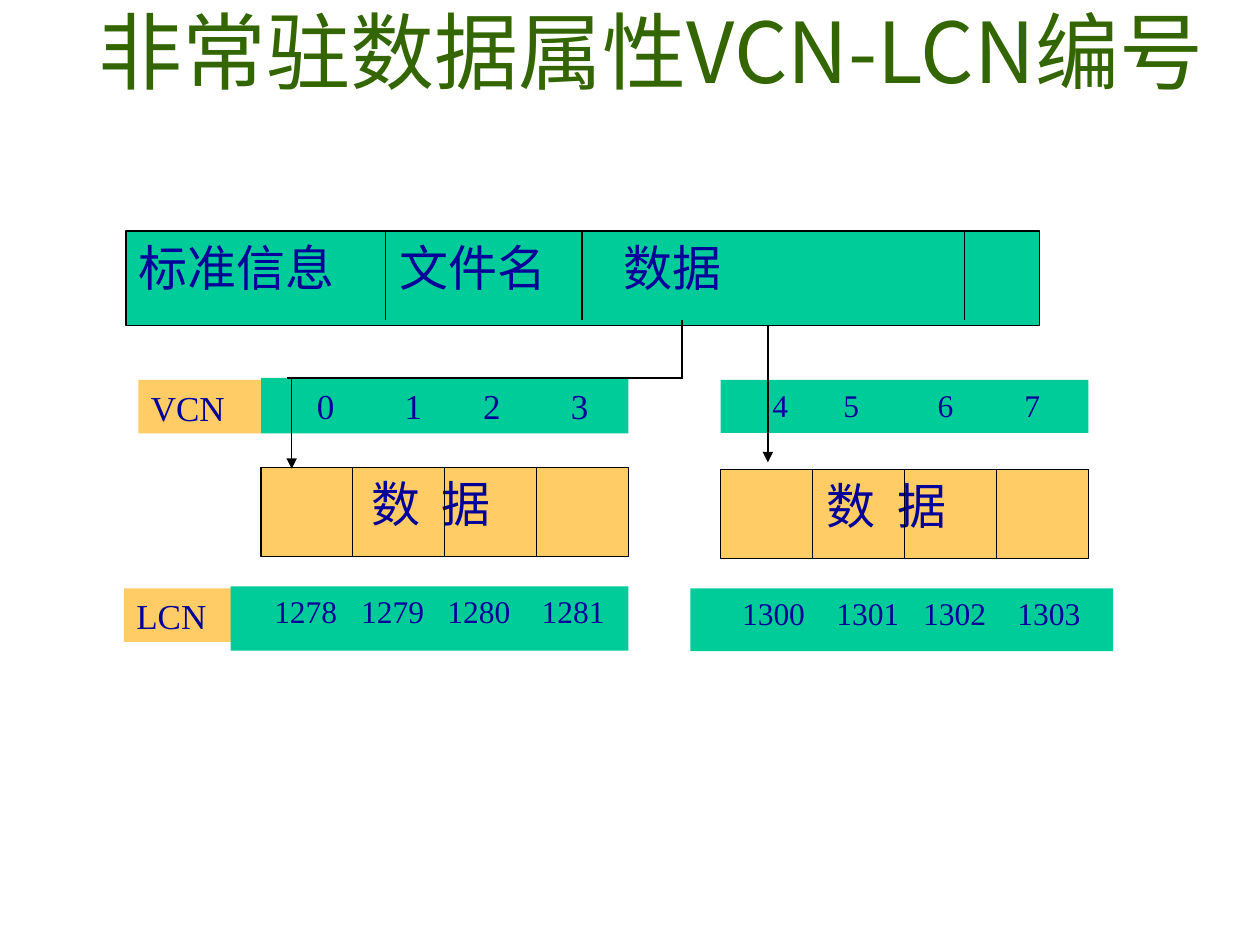
from lxml.etree import SubElement
from pptx import Presentation
from pptx.dml.color import RGBColor
from pptx.enum.shapes import MSO_CONNECTOR, MSO_SHAPE
from pptx.enum.text import MSO_ANCHOR, PP_ALIGN
from pptx.oxml.ns import qn
from pptx.util import Cm, Pt

BLACK = RGBColor(0x00, 0x00, 0x00)
NAVY = RGBColor(0x00, 0x00, 0x99)
OLIVE = RGBColor(0x33, 0x66, 0x00)
GREEN = RGBColor(0x00, 0xCC, 0x99)
ORANGE = RGBColor(0xFF, 0xCC, 0x66)
LATIN = "Times New Roman"
CHINESE = "Noto Sans CJK JP"
LINE_WIDTH = Pt(0.74)


def add_run(paragraph, text, size, font, color):
    run = paragraph.add_run()
    run.text = text
    run.font.size = Pt(size)
    run.font.name = font
    run.font.color.rgb = color
    SubElement(run.font._element, qn("a:ea"), typeface=font)


def set_tab_stops(paragraph, stops):
    tab_list = SubElement(paragraph._p.get_or_add_pPr(), qn("a:tabLst"))
    for stop in stops:
        SubElement(tab_list, qn("a:tab"), pos=str(Cm(stop)), algn="l")


def add_line(slide, x1, y1, x2, y2, arrow=False):
    connector = slide.shapes.add_connector(
        MSO_CONNECTOR.STRAIGHT, Cm(x1), Cm(y1), Cm(x2), Cm(y2))
    connector.line.color.rgb = BLACK
    connector.line.width = LINE_WIDTH
    if arrow:
        SubElement(connector.line._get_or_add_ln(), qn("a:tailEnd"), type="triangle")
    SubElement(connector._element.spPr, qn("a:effectLst"))


def add_bar(slide, box, fill, entries, size, font=LATIN, outlined=False):
    shape = slide.shapes.add_shape(MSO_SHAPE.RECTANGLE, *map(Cm, box))
    shape.shadow.inherit = False
    shape.fill.solid()
    shape.fill.fore_color.rgb = fill
    if outlined:
        shape.line.color.rgb = BLACK
        shape.line.width = LINE_WIDTH
    else:
        shape.line.fill.background()
    frame = shape.text_frame
    frame.word_wrap = True
    frame.vertical_anchor = MSO_ANCHOR.TOP
    paragraph = frame.paragraphs[0]
    paragraph.alignment = PP_ALIGN.LEFT
    set_tab_stops(paragraph, [stop for stop, _ in entries if stop])
    for stop, text in entries:
        add_run(paragraph, "\t" + text if stop else text, size, font, NAVY)


def add_dividers(slide, left, top, height, offsets):
    for offset in offsets:
        add_line(slide, left + offset, top, left + offset, top + height)


def add_title(slide, box, text):
    frame = slide.shapes.add_textbox(*map(Cm, box)).text_frame
    frame.word_wrap = True
    frame.vertical_anchor = MSO_ANCHOR.BOTTOM
    frame.margin_top = frame.margin_bottom = 0
    paragraph = frame.paragraphs[0]
    paragraph.alignment = PP_ALIGN.CENTER
    paragraph.line_spacing = Pt(48)
    add_run(paragraph, text, 48, CHINESE, OLIVE)


def add_record(slide, box):
    left, top, _, _ = box
    entries = [(0, "标准信息"), (5.27, "文件名"), (9.78, "数据")]
    add_bar(slide, box, GREEN, entries, 28, CHINESE, outlined=True)
    add_dividers(slide, left, top, 1.8, [5.23, 9.19, 16.91])


def add_data_run(slide, left, top, vcn_height, vcn, vcn_size, lcn_size, lcn, data_start):
    width, data_height = 7.41, 1.8
    data_top = top + 1.8
    data = [(data_start, "数"), (data_start + 1.43, "据")]
    add_bar(slide, (left, data_top, width, data_height), ORANGE, data, 28, CHINESE, outlined=True)
    add_dividers(slide, left, data_top, data_height, [width * i / 4 for i in (1, 2, 3)])
    add_bar(slide, (left, top, width, vcn_height), GREEN, vcn, vcn_size)
    add_bar(slide, (left - 0.61, top + 4.2, *lcn_size), GREEN, lcn, 18)


def add_label(slide, left, top, text):
    add_bar(slide, (left, top, 2.47, 1.08), ORANGE, [(0, text)], 20)


def add_pointers(slide, left, top):
    add_line(slide, left + 7.87, top - 0.1, left + 7.87, top + 1.1)
    add_line(slide, left - 0.1, top + 1.07, left + 7.87, top + 1.07)
    add_line(slide, left, top + 1.1, left, top + 2.9, arrow=True)
    add_line(slide, left + 9.6, top, left + 9.6, top + 2.77, arrow=True)


presentation = Presentation()
presentation.slide_width = Cm(25.4)
presentation.slide_height = Cm(19.05)
slide = presentation.slides.add_slide(presentation.slide_layouts[6])

add_title(slide, (0.9, 0, 24.45, 2.03), "非常驻数据属性VCN-LCN编号")
add_label(slide, 2.5, 11.86, "LCN")
add_record(slide, (2.54, 4.66, 18.42, 1.9))
add_data_run(
    slide, 5.26, 7.62, 1.12,
    [(0.88, "0"), (2.65, "1"), (4.23, "2"), (6, "3")], 20, (8.02, 1.3),
    [(0.63, "1278"), (2.38, "1279"), (4.12, "1280"), (6.02, "1281")], 1.97)
add_data_run(
    slide, 14.53, 7.66, 1.07,
    [(0.79, "4"), (2.22, "5"), (4.12, "6"), (5.87, "7")], 18, (8.52, 1.27),
    [(0.79, "1300"), (2.69, "1301"), (4.44, "1302"), (6.34, "1303")], 1.89)
add_label(slide, 2.79, 7.66, "VCN")
add_pointers(slide, 5.88, 6.55)

presentation.save("out.pptx")
